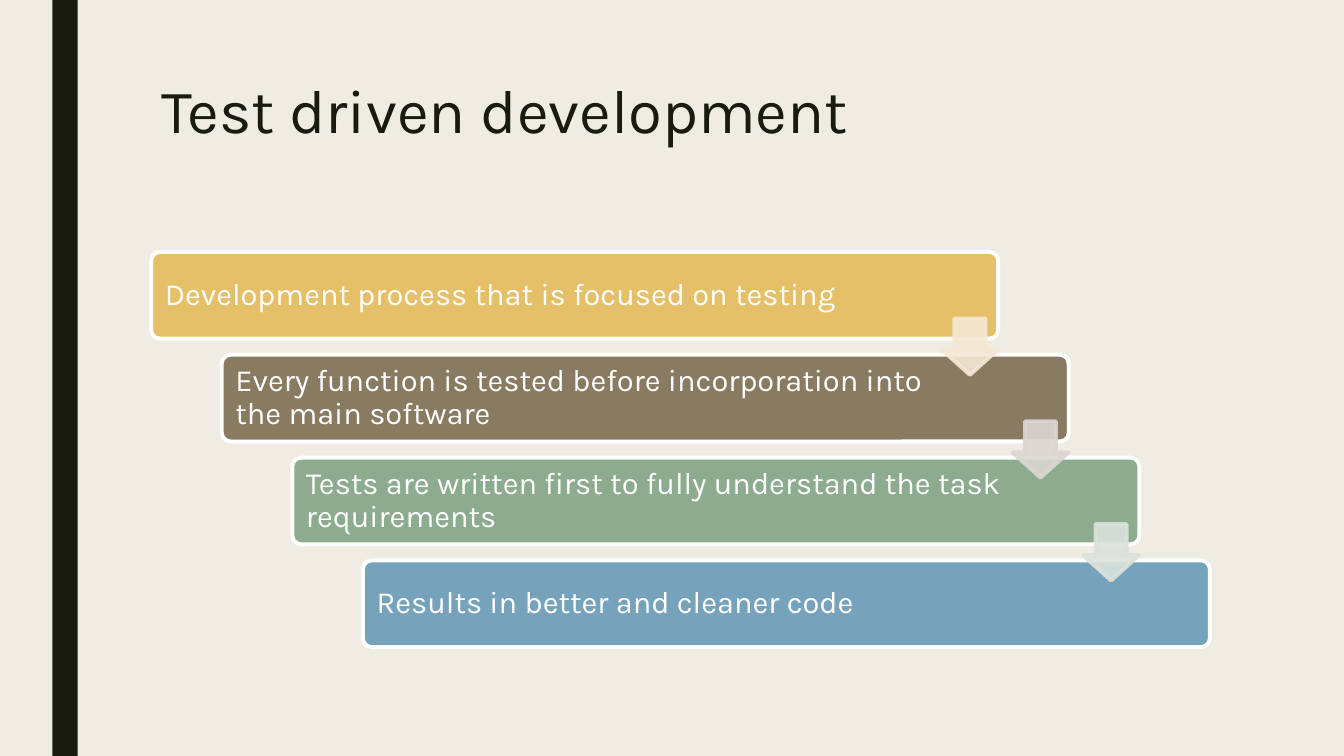
"""Builds the slide on test driven development as a staircase of four steps."""
from dataclasses import dataclass

import pptx
import pptx.dml.color
import pptx.enum.shapes
import pptx.enum.text
import pptx.oxml.ns
import pptx.util
from lxml import etree

SCALE = 9144
SHAPES = pptx.enum.shapes.MSO_SHAPE
ANCHOR = pptx.enum.text.MSO_ANCHOR


@dataclass(frozen=True)
class Theme:
    font: str = "Karla"
    background: str = "EFEDE3"
    dark: str = "191B0E"
    light: str = "FFFFFF"
    title_size: int = 44
    step_size: int = 22
    outline: float = 2.75
    arrow_opacity: int = 90


@dataclass(frozen=True)
class Box:
    left: int
    top: int
    width: int
    height: int

    def shifted(self, dx: int, dy: int) -> "Box":
        return Box(self.left + dx, self.top + dy, self.width, self.height)


@dataclass(frozen=True)
class Step:
    text: str
    color: str
    arrow_color: str | None = None


THEME = Theme()
SIDEBAR = Box(52, 0, 25, 750)
TITLE = Box(150, 75, 1050, 162)
FIRST_STEP = Box(150, 250, 840, 86)
FIRST_ARROW = Box(934, 316, 56, 56)
STEP_RIGHT, STEP_DOWN = 70, 102
STEPS = [
    Step("Development process that is focused on testing", "E6C069", "F5E8D4"),
    Step("Every function is tested before incorporation into the main software", "897B61", "DAD7D2"),
    Step("Tests are written first to fully understand the task requirements", "8DAB8E", "DBE2DB"),
    Step("Results in better and cleaner code", "77A2BB"),
]


def px(length: int) -> pptx.util.Emu:
    return pptx.util.Emu(length * SCALE)


def rgb(color: str) -> pptx.dml.color.RGBColor:
    return pptx.dml.color.RGBColor.from_string(color)


def write_text(shape, text: str, *, size: int, color: str, anchor=ANCHOR.MIDDLE,
               line_spacing: float = 0.9, left: int = 10, right: int = 10) -> None:
    frame = shape.text_frame
    frame.word_wrap = True
    frame.auto_size = pptx.enum.text.MSO_AUTO_SIZE.NONE
    frame.vertical_anchor = anchor
    frame.margin_left, frame.margin_right = px(left), px(right)
    frame.margin_top = frame.margin_bottom = px(5)
    paragraph = frame.paragraphs[0]
    paragraph.alignment = pptx.enum.text.PP_ALIGN.LEFT
    paragraph.line_spacing = line_spacing
    run = paragraph.add_run()
    run.text = text
    run.font.name = THEME.font
    run.font.size = pptx.util.Pt(size)
    run.font.color.rgb = rgb(color)


def draw_shape(slide, kind, box: Box, fill: str, *, line: str | None = None,
               adjustments: tuple[float, ...] = (), opacity: int = 100):
    shape = slide.shapes.add_shape(kind, px(box.left), px(box.top), px(box.width), px(box.height))
    shape.shadow.inherit = False
    for index, value in enumerate(adjustments):
        shape.adjustments[index] = value
    shape.fill.solid()
    shape.fill.fore_color.rgb = rgb(fill)
    if line:
        shape.line.color.rgb = rgb(line)
        shape.line.width = pptx.util.Pt(THEME.outline)
    else:
        shape.line.fill.background()
    if opacity < 100:
        for color in shape.element.spPr.iter(pptx.oxml.ns.qn("a:srgbClr")):
            etree.SubElement(color, pptx.oxml.ns.qn("a:alpha"), val=str(opacity * 1000))
    return shape


def draw_title(slide, text: str) -> None:
    title = slide.shapes.title
    title.left, title.top = px(TITLE.left), px(TITLE.top)
    title.width, title.height = px(TITLE.width), px(TITLE.height)
    write_text(title, text, size=THEME.title_size, color=THEME.dark,
               anchor=ANCHOR.TOP, line_spacing=0.89)


def draw_steps(slide) -> None:
    for index, step in enumerate(STEPS):
        box = FIRST_STEP.shifted(index * STEP_RIGHT, index * STEP_DOWN)
        bar = draw_shape(slide, SHAPES.ROUNDED_RECTANGLE, box, step.color,
                         line=THEME.light, adjustments=(0.1,))
        write_text(bar, step.text, size=THEME.step_size, color=THEME.light, left=11, right=123)
    for index, step in enumerate(STEPS):
        if step.arrow_color:
            box = FIRST_ARROW.shifted(index * STEP_RIGHT, index * STEP_DOWN)
            draw_shape(slide, SHAPES.DOWN_ARROW, box, step.arrow_color, line=step.arrow_color,
                       adjustments=(0.55, 0.45), opacity=THEME.arrow_opacity)


def main() -> None:
    deck = pptx.Presentation()
    deck.slide_width, deck.slide_height = px(1333), px(750)
    slide = deck.slides.add_slide(deck.slide_layouts.get_by_name("Title Only"))
    slide.background.fill.solid()
    slide.background.fill.fore_color.rgb = rgb(THEME.background)
    draw_shape(slide, SHAPES.RECTANGLE, SIDEBAR, THEME.dark)
    draw_title(slide, "Test driven development")
    draw_steps(slide)
    deck.save("out.pptx")


if __name__ == "__main__":
    main()
